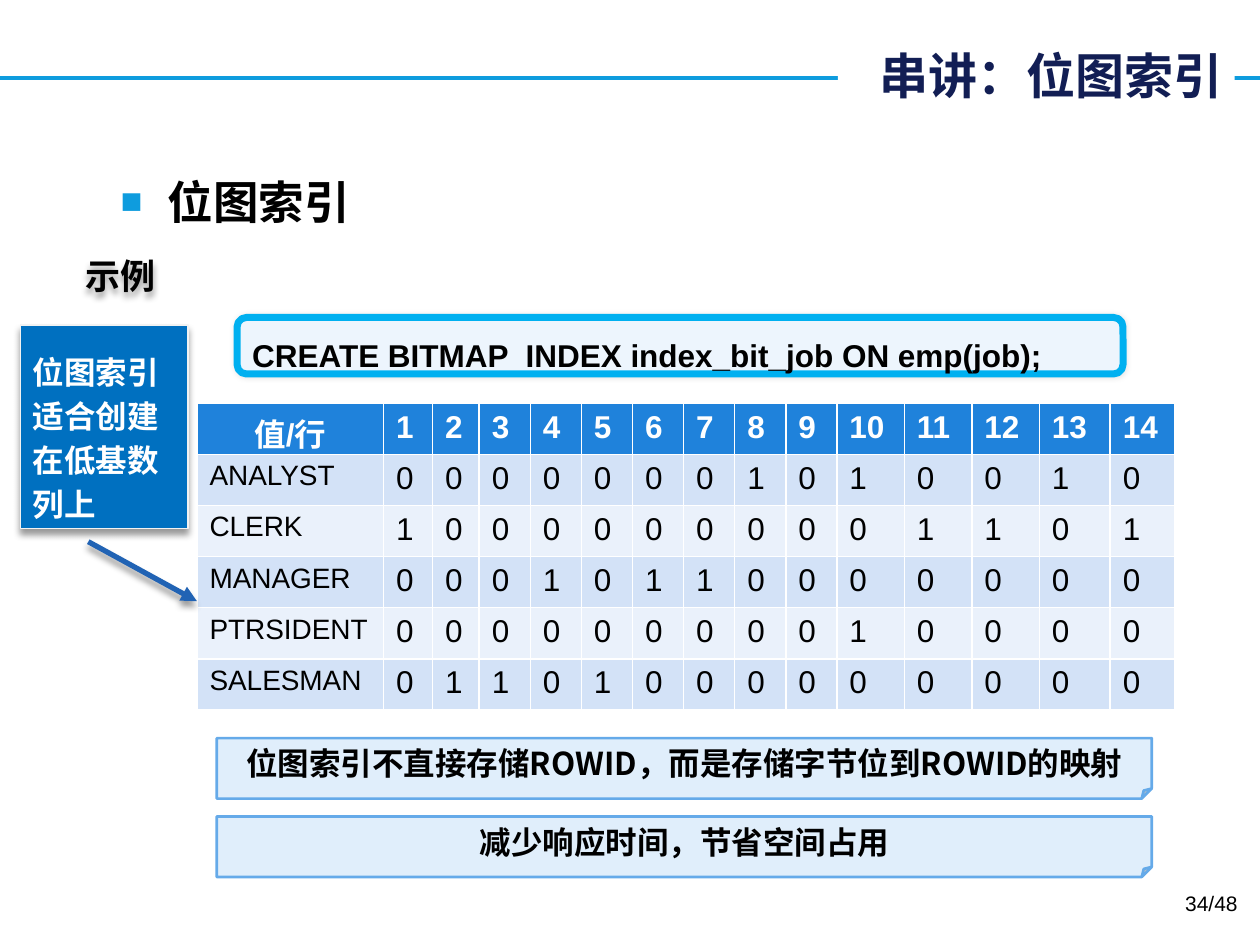
from lxml.etree import SubElement
from pptx import Presentation
from pptx.dml.color import RGBColor
from pptx.enum.shapes import MSO_CONNECTOR, MSO_SHAPE
from pptx.enum.text import MSO_ANCHOR, PP_ALIGN
from pptx.oxml.ns import qn
from pptx.util import Cm, Pt

COLORS = {
    "text": "000000", "white": "FFFFFF", "title": "121E54", "accent": "0E9CDE",
    "code_fill": "EDF5FD", "code_line": "00B0F0", "header": "1F82DB",
    "band_dark": "D3E2F7", "band_light": "EAF1FB", "callout": "0070C0",
    "callout_line": "F2F2F2", "note_fill": "E0EEFB", "note_line": "65AAE9",
    "arrow": "2163B4",
}
CJK = "Noto Sans CJK SC"
JOBS = {
    "ANALYST": "00000001010010",
    "CLERK": "10000000001101",
    "MANAGER": "00010110000000",
    "PTRSIDENT": "00000000010000",
    "SALESMAN": "01101000000000",
}
COLUMNS = [3.76, 0.99, 0.94] + [1.03] * 7 + [1.36] * 3 + [1.43, 1.3]
DROP = (40, 4, 3, 90)


def rgb(name):
    return RGBColor.from_string(COLORS[name])


def write(tf, text, size=18, font="Arial", color="text", bold=True,
          align=PP_ALIGN.LEFT, spacing=None):
    for i, line in enumerate(text.split("\n")):
        p = tf.add_paragraph() if i else tf.paragraphs[0]
        p.alignment = align
        if spacing:
            p.line_spacing = spacing
        r = p.add_run()
        r.text = line
        r.font.size, r.font.bold, r.font.name = Pt(size), bold, font
        r.font.color.rgb = rgb(color)
        SubElement(r.font._element, qn("a:ea"), typeface=CJK)


def add_effects(sp, shadow=None):
    effects = SubElement(sp._element.spPr, qn("a:effectLst"))
    if shadow:
        alpha, blur, dist, angle = shadow
        outer = SubElement(effects, qn("a:outerShdw"), blurRad=str(Pt(blur)),
                           dist=str(Pt(dist)), dir=str(angle * 60000), rotWithShape="0")
        clr = SubElement(outer, qn("a:srgbClr"), val=COLORS["text"])
        SubElement(clr, qn("a:alpha"), val=str(alpha * 1000))


class SlideBuilder:
    def __init__(self, prs):
        self.s = prs.slides.add_slide(prs.slide_layouts[1])

    def place(self, sp, box):
        sp.left, sp.top, sp.width, sp.height = map(Cm, box)

    def title(self, text, box):
        sp = self.s.shapes.title
        self.place(sp, box)
        sp.fill.solid()
        sp.fill.fore_color.rgb = rgb("white")
        sp.text_frame.vertical_anchor = MSO_ANCHOR.MIDDLE
        write(sp.text_frame, text, size=28, font=CJK, color="title", align=PP_ALIGN.RIGHT)

    def bullets(self, text, box):
        sp = self.s.placeholders[1]
        self.place(sp, box)
        write(sp.text_frame, text, size=26)
        for p in sp.text_frame.paragraphs:
            pPr = p._p.get_or_add_pPr()
            pPr.set("marL", str(Cm(0.95)))
            pPr.set("indent", str(-Cm(0.95)))
            SubElement(SubElement(pPr, qn("a:buClr")), qn("a:srgbClr"), val=COLORS["accent"])
            SubElement(pPr, qn("a:buSzPct"), val="80000")
            SubElement(pPr, qn("a:buFont"), typeface="Arial")
            SubElement(pPr, qn("a:buChar"), char="■")

    def line(self, start, end, color, width, arrow=False, shadow=None, behind=False):
        c = self.s.shapes.add_connector(MSO_CONNECTOR.STRAIGHT, *map(Cm, start + end))
        c.line.color.rgb, c.line.width = rgb(color), Pt(width)
        if arrow:
            SubElement(c.line._get_or_add_ln(), qn("a:tailEnd"), type="triangle")
        add_effects(c, shadow)
        if behind:
            self.s.shapes._spTree.insert(2, c._element)

    def box(self, kind, text, box, fill, line, width, shadow=None,
            anchor=MSO_ANCHOR.MIDDLE, **fmt):
        sp = self.s.shapes.add_shape(kind, *map(Cm, box))
        sp.fill.solid()
        sp.fill.fore_color.rgb = rgb(fill)
        sp.line.color.rgb, sp.line.width = rgb(line), Pt(width)
        add_effects(sp, shadow)
        sp.text_frame.word_wrap = True
        sp.text_frame.vertical_anchor = anchor
        write(sp.text_frame, text, **fmt)

    def label(self, text, box, wrap=True, shadow=None, **fmt):
        sp = self.s.shapes.add_textbox(*map(Cm, box))
        sp.text_frame.word_wrap = wrap
        if shadow:
            add_effects(sp, shadow)
        write(sp.text_frame, text, **fmt)

    def cell(self, cell, text, fill, **fmt):
        cell.fill.solid()
        cell.fill.fore_color.rgb = rgb(fill)
        cell.margin_bottom = 0
        write(cell.text_frame, text, **fmt)

    def table(self, rows, left, top, columns, row_height):
        table = self.s.shapes.add_table(
            len(rows), len(columns), Cm(left), Cm(top),
            Cm(sum(columns)), Cm(row_height * len(rows))).table
        for column, width in zip(table.columns, columns):
            column.width = Cm(width)
        for i, row in enumerate(rows):
            table.rows[i].height = Cm(row_height)
            for j, text in enumerate(row):
                if i == 0:
                    self.cell(table.cell(i, j), text, "header", color="white",
                              align=PP_ALIGN.LEFT if j else PP_ALIGN.CENTER)
                else:
                    self.cell(table.cell(i, j), text, "band_dark" if i % 2 else "band_light",
                              size=18 if j else 16, bold=False)


def main():
    prs = Presentation()
    prs.slide_width, prs.slide_height = Cm(25.4), Cm(19.05)
    b = SlideBuilder(prs)
    b.line((0, 1.57), (25.4, 1.57), "accent", 2.25, behind=True)
    b.title("串讲：位图索引", (16.89, 0.79, 8, 1.45))
    b.bullets("位图索引", (2.18, 3.38, 21.23, 14.27))
    b.box(MSO_SHAPE.ROUNDED_RECTANGLE, "CREATE BITMAP  INDEX index_bit_job ON emp(job);",
          (4.78, 6.4, 17.86, 1.14), "code_fill", "code_line", 4, (10, 3, 0, 0), spacing=1.5)
    b.label("示例", (1.47, 5, 1.96, 1.12), wrap=False, shadow=DROP, size=20, font=CJK)
    header = ["值/行"] + [str(n) for n in range(1, 15)]
    b.table([header] + [[job, *bits] for job, bits in JOBS.items()], 3.97, 8.13, COLUMNS, 1.03)
    b.box(MSO_SHAPE.RECTANGLE, "位图索引\n适合创建\n在低基数\n列上", (0.41, 6.55, 3.38, 4.11),
          "callout", "callout_line", 0.75, DROP, MSO_ANCHOR.BOTTOM,
          color="white", spacing=Pt(25))
    notes = ["位图索引不直接存储ROWID，而是存储字节位到ROWID的映射", "减少响应时间，节省空间占用"]
    for i, note in enumerate(notes):
        b.box(MSO_SHAPE.FOLDED_CORNER, note, (4.37, 14.88 + 1.58 * i, 18.85, 1.22),
              "note_fill", "note_line", 1.5, font=CJK, align=PP_ALIGN.CENTER)
    b.line((1.78, 10.92), (3.97, 12.12), "arrow", 3, arrow=True, shadow=DROP)
    b.label("34/48", (19.28, 17.83, 5.92, 1.02), size=12, bold=False, align=PP_ALIGN.RIGHT)
    prs.save("out.pptx")


if __name__ == "__main__":
    main()
